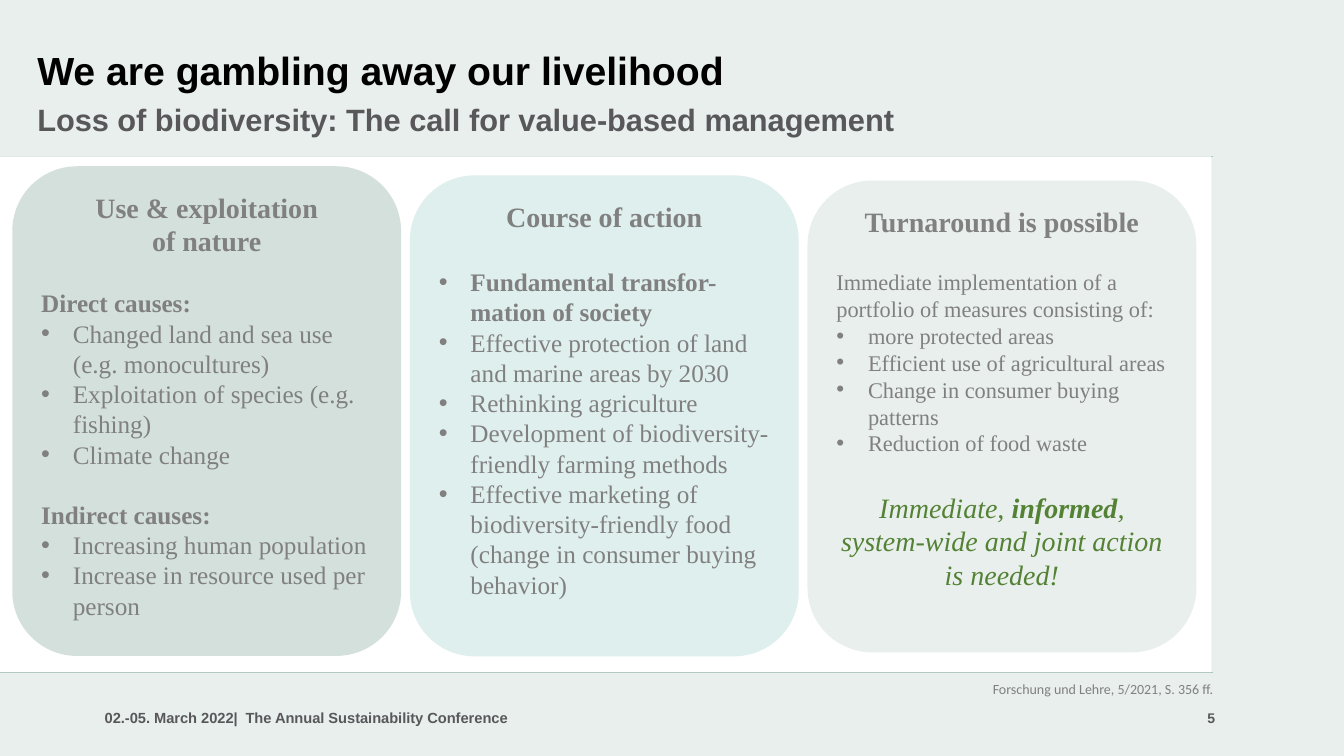
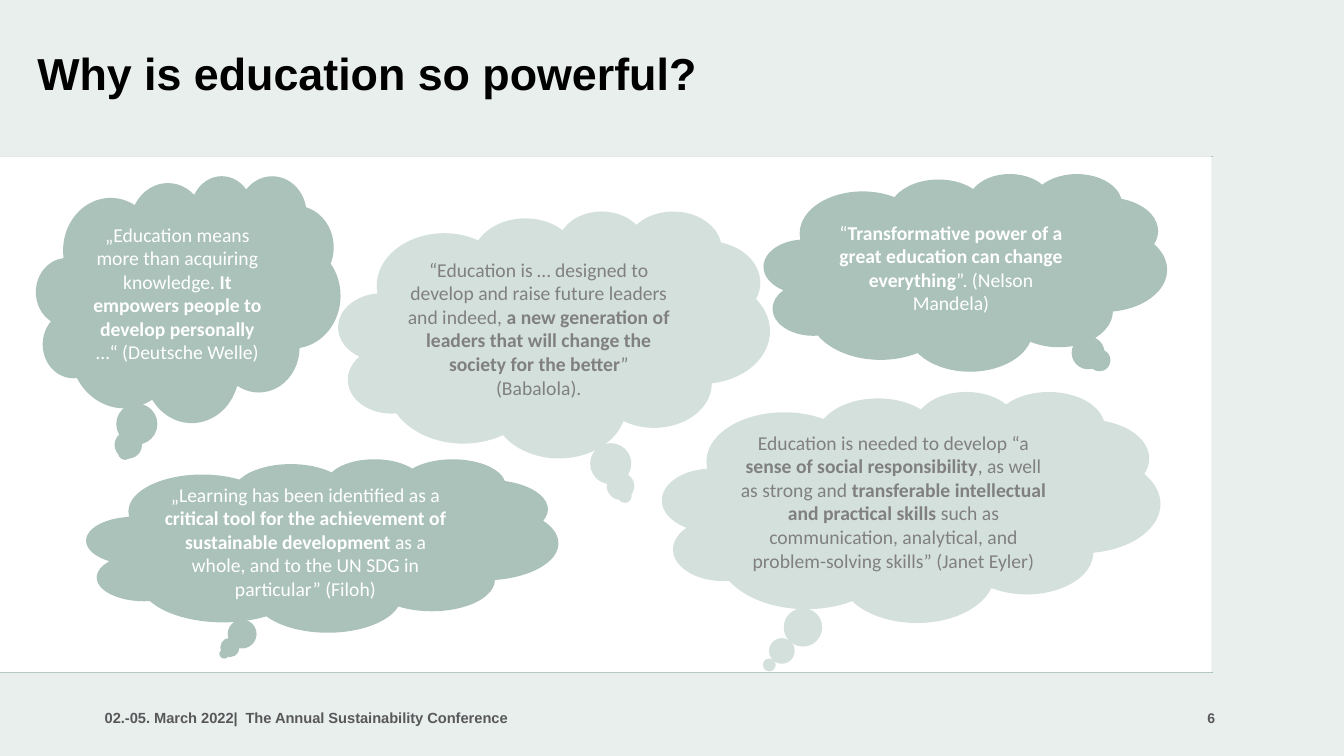
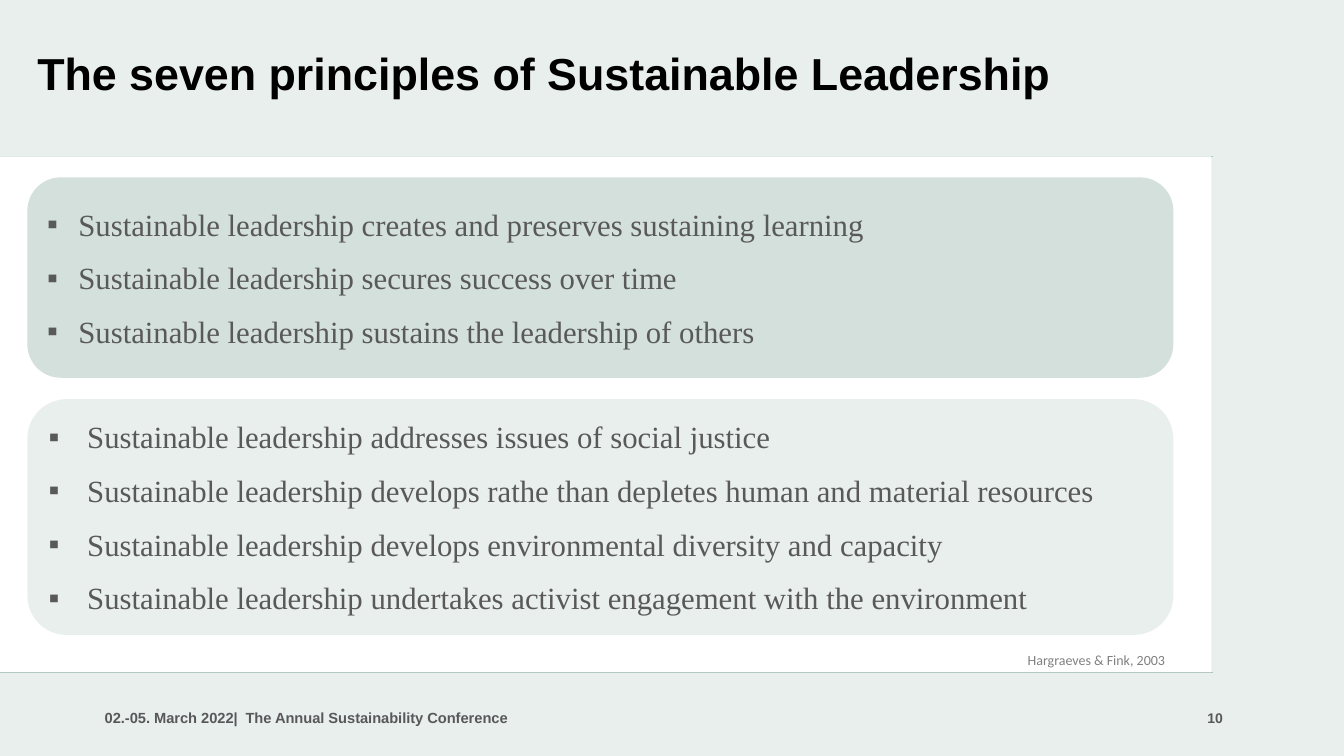
from lxml import etree
from pptx import Presentation
from pptx.dml.color import RGBColor
from pptx.enum.shapes import MSO_CONNECTOR, MSO_SHAPE
from pptx.enum.text import MSO_ANCHOR, PP_ALIGN
from pptx.oxml.ns import qn
from pptx.util import Cm, Pt

STRAIGHT = MSO_CONNECTOR.STRAIGHT
RECTANGLE = MSO_SHAPE.RECTANGLE
ROUNDED = MSO_SHAPE.ROUNDED_RECTANGLE
CLOUD = MSO_SHAPE.CLOUD_CALLOUT
TOP, MIDDLE = MSO_ANCHOR.TOP, MSO_ANCHOR.MIDDLE
LEFT, CENTER = PP_ALIGN.LEFT, PP_ALIGN.CENTER

PALE, MIST, AQUA, SAGE = "E9EFED", "D4E0DB", "DFEFED", "AAC2B9"
WHITE, BLACK, GREEN = "FFFFFF", "000000", "548235"
DARK, INK, GRAY = "58585A", "595959", "808080"
SANS, SERIF, BODY = "Arial", "Times New Roman", "Calibri"


def color(hex_string):
    return RGBColor.from_string(hex_string)


def write(frame, text, font=SERIF, size=18, fill=GRAY, bold=False, italic=False,
          align=LEFT, before=0, spacing=None, bullet=None, indent=0.8):
    """Add a paragraph; each * in the text switches bold, a newline breaks the line."""
    para = frame.paragraphs[0]
    if para.runs:
        para = frame.add_paragraph()
        para.space_before = Pt(before)
    para.alignment = align
    if spacing:
        para.line_spacing = spacing
    if bullet:
        properties = para._p.get_or_add_pPr()
        properties.set("marL", str(Cm(indent)))
        properties.set("indent", str(-Cm(indent)))
        etree.SubElement(properties, qn("a:buFont")).set("typeface", SANS)
        etree.SubElement(properties, qn("a:buChar")).set("char", bullet)
    for part, words in enumerate(text.split("*")):
        for row, line in enumerate(words.split("\n")):
            if row:
                para.add_line_break()
            if line:
                span = para.add_run()
                span.text = line
                span.font.name = font
                span.font.size = Pt(size)
                span.font.bold = bold != (part % 2 == 1)
                span.font.italic = italic
                span.font.color.rgb = color(fill)


class Deck:
    def __init__(self):
        self.file = Presentation()
        self.file.slide_width, self.file.slide_height = Cm(33.87), Cm(19.05)
        self.page = None

    def new_page(self, number, title, size=32, width=23.95):
        self.page = self.file.slides.add_slide(self.file.slide_layouts[6])
        background = self.page.background.fill
        background.solid()
        background.fore_color.rgb = color(PALE)
        # White content band with its rules
        for y in (3.94, 16.94):
            self.rule(y)
        self.shape(RECTANGLE, 0, 3.94, 30.53, 13, WHITE)
        # Title and footer
        self.text(title, 0.69, 1.17, width, 1.32, font=SANS, size=size,
                  fill=BLACK, bold=True, spacing=0.9)
        for words, x, box_width, points in (
                ("02.-05. March 2022|", 2.39, 4.8, 10.5),
                ("The Annual Sustainability Conference", 5.94, 8.81, 10.5),
                (str(number), 30.18, 2.51, 10)):
            self.text(words, x, 17.58, box_width, 1.02, anchor=MIDDLE,
                      font=SANS, size=points, fill=DARK, bold=True)

    def rule(self, y):
        line = self.page.shapes.add_connector(STRAIGHT, 0, Cm(y), Cm(30.58), Cm(y))
        line.line.color.rgb = color(SAGE)
        line.line.width = Pt(0.5)
        etree.SubElement(line._element.spPr, qn("a:effectLst"))

    def shape(self, kind, x, y, width, height, fill, anchor=MIDDLE):
        shape = self.page.shapes.add_shape(kind, Cm(x), Cm(y), Cm(width), Cm(height))
        shape.shadow.inherit = False
        shape.fill.solid()
        shape.fill.fore_color.rgb = color(fill)
        shape.line.fill.background()
        shape.text_frame.word_wrap = True
        shape.text_frame.vertical_anchor = anchor
        return shape

    def text(self, words, x, y, width, height, anchor=TOP, wrap=True, **style):
        box = self.page.shapes.add_textbox(Cm(x), Cm(y), Cm(width), Cm(height))
        box.text_frame.word_wrap = wrap
        box.text_frame.vertical_anchor = anchor
        write(box.text_frame, words, **style)

    def source(self, words, x, y, width):
        self.text(words, x, y, width, 0.69, wrap=False, font=BODY, size=10)

    def card(self, x, y, height, fill, heading):
        frame = self.shape(ROUNDED, x, y, 9.8, height, fill, TOP).text_frame
        write(frame, heading, size=20, bold=True, align=CENTER)
        return frame

    def thought(self, words, place, fill, ink, tail=(-0.208, 0.625)):
        cloud = self.shape(CLOUD, *place, fill)
        cloud.adjustments[0], cloud.adjustments[1] = tail
        write(cloud.text_frame, words, font=BODY, size=14, fill=ink, align=CENTER)

    def panel(self, y, height, fill, lines, indent):
        frame = self.shape(ROUNDED, 0.69, y, 28.88, height, fill).text_frame
        for line in lines:
            write(frame, line, size=22, fill=INK, before=12, bullet="▪", indent=indent)


def bullets(frame, lines, size=18, first_before=0):
    for index, line in enumerate(lines):
        write(frame, line, size=size, bullet="•", before=0 if index else first_before)


def livelihood(deck):
    deck.new_page(5, "We are gambling away our livelihood", size=28, width=26.54)
    deck.text("Loss of biodiversity: The call for value-based management",
              0.69, 2.51, 23.95, 1.09, font=SANS, size=22, fill=DARK,
              bold=True, spacing=0.9)
    deck.source("Forschung und Lehre, 5/2021, S. 356 ff.", 24.77, 17.02, 6.2)
    causes_x, action_x, turn_x = [0.31 + 10.02 * column for column in range(3)]

    # Causes
    causes = deck.card(causes_x, 4.19, 12.34, MIST, "Use & exploitation\nof nature")
    write(causes, "Direct causes:", bold=True, before=21.6)
    bullets(causes, ["Changed land and sea use (e.g. monocultures)",
                     "Exploitation of species (e.g. fishing)",
                     "Climate change"])
    write(causes, "Indirect causes:", bold=True, before=21.6)
    bullets(causes, ["Increasing human population",
                     "Increase in resource used per person"])

    # Action
    action = deck.card(action_x, 4.42, 12.12, AQUA, "Course of action")
    bullets(action, ["*Fundamental transfor-mation of society*",
                     "Effective protection of land and marine areas by 2030",
                     "Rethinking agriculture",
                     "Development of biodiversity-friendly farming methods",
                     "Effective marketing of biodiversity-friendly food "
                     "(change in consumer buying behavior)"], first_before=24)

    # Turnaround
    turn = deck.card(turn_x, 4.55, 11.89, PALE, "Turnaround is possible")
    write(turn, "Immediate implementation of a portfolio of measures consisting of:",
          size=16, before=21.6)
    bullets(turn, ["more protected areas",
                   "Efficient use of agricultural areas",
                   "Change in consumer buying patterns",
                   "Reduction of food waste"], size=16)
    write(turn, "Immediate, *informed*, system-wide and joint action is needed!",
          size=20, fill=GREEN, italic=True, align=CENTER, before=24)


def education(deck):
    deck.new_page(6, "Why is education so powerful?")
    deck.thought("„Education means more than acquiring knowledge. *It empowers people "
                 "to develop personally *…“ (Deutsche Welle)",
                 (0.91, 4.42, 7.67, 6.22), SAGE, WHITE)
    deck.thought("“*Transformative power of a great education can change "
                 "everything*”. (Nelson Mandela)",
                 (19.25, 4.37, 10.16, 4.98), SAGE, WHITE, tail=(0.338, 0.453))
    deck.thought("“Education is … designed to develop and raise future leaders and "
                 "indeed, *a new generation of leaders that will change the society "
                 "for the better*” (Babalola).",
                 (8.53, 5.31, 10.87, 6.22), MIST, GRAY, tail=(0.164, 0.656))
    deck.thought("„Learning has been identified as a *critical tool for the achievement "
                 "of sustainable development *as a whole, and to the UN SDG in "
                 "particular” (Filoh)",
                 (2.18, 11.56, 11.89, 4.37), SAGE, WHITE)
    deck.thought("Education is needed to develop “a *sense of social responsibility*, "
                 "as well as strong and *transferable intellectual and practical "
                 "skills *such as communication, analytical, and problem-solving "
                 "skills” (Janet Eyler)",
                 (16.69, 9.86, 12.55, 5.82), MIST, GRAY, tail=(-0.285, 0.685))


def principles(deck):
    deck.new_page(10, "The seven principles of Sustainable Leadership", width=27.64)
    deck.panel(4.47, 5.05, MIST, [
        "Sustainable leadership creates and preserves sustaining learning",
        "Sustainable leadership secures success over time",
        "Sustainable leadership sustains the leadership of others"], indent=0.79)
    deck.panel(10.06, 5.94, PALE, [
        "Sustainable leadership addresses issues of social justice",
        "Sustainable leadership develops rathe than depletes human and material resources",
        "Sustainable leadership develops environmental diversity and capacity",
        "Sustainable leadership undertakes activist engagement with the environment"],
        indent=0.97)
    deck.source("Hargraeves & Fink, 2003", 25.65, 16.28, 4.04)


def main():
    deck = Deck()
    livelihood(deck)
    education(deck)
    principles(deck)
    deck.file.save("out.pptx")


if __name__ == "__main__":
    main()
